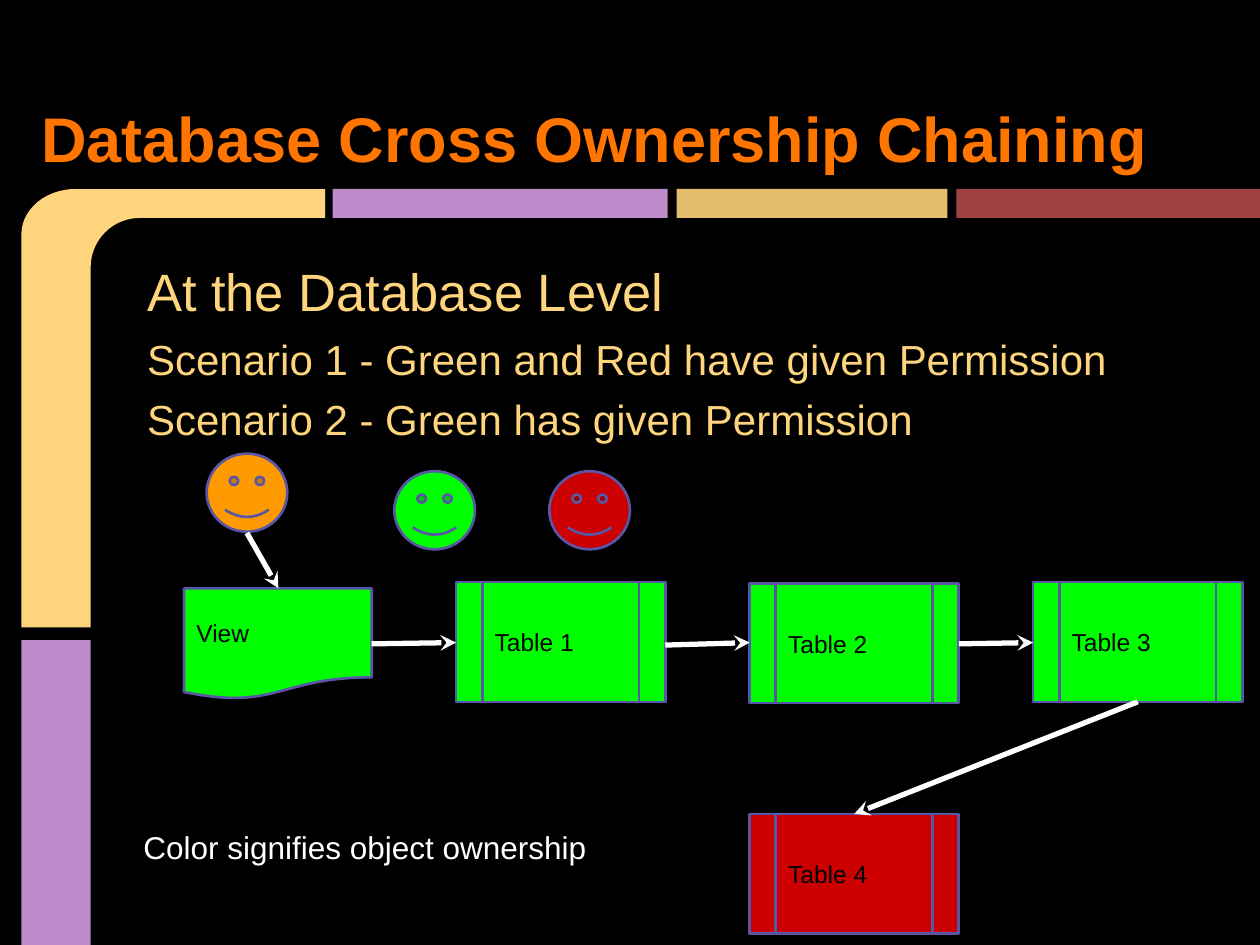
from math import cos, sin, radians

from lxml.etree import SubElement
from pptx import Presentation
from pptx.dml.color import RGBColor
from pptx.enum.shapes import MSO_CONNECTOR as Conn, MSO_SHAPE as Shape
from pptx.enum.text import MSO_ANCHOR as Anchor, PP_ALIGN as Align
from pptx.oxml.ns import qn
from pptx.util import Inches, Pt

GOLD, LILAC, EDGE = "FED47D", "BF8AC9", "5956A7"
ORANGE, GREEN, RED = "FF9900", "00FF00", "CC0000"
BLACK, WHITE = "000000", "FFFFFF"


def rgb(code):
    return RGBColor.from_string(code)


def paint(shape, fill, line=None):
    shape.shadow.inherit = False
    shape.fill.solid()
    shape.fill.fore_color.rgb = rgb(fill)
    if line:
        shape.line.color.rgb = rgb(line)
        shape.line.width = Pt(1.5)
    else:
        shape.line.fill.background()


def add_shape(slide, kind, box, fill, line=None):
    shape = slide.shapes.add_shape(kind, *map(Inches, box))
    paint(shape, fill, line)
    return shape


def write(shape, lines, color, anchor=Anchor.TOP, bold=False, gap=0):
    """Fill the shape with one paragraph for each (text, size) pair."""
    frame = shape.text_frame
    frame.word_wrap = True
    frame.vertical_anchor = anchor
    frame.margin_left = frame.margin_right = Inches(0.1)
    frame.margin_top = frame.margin_bottom = Inches(0.1)
    for i, (text, size) in enumerate(lines):
        para = frame.add_paragraph() if i else frame.paragraphs[0]
        para.alignment = Align.LEFT
        para.space_before = Pt(gap)
        run = para.add_run()
        run.text = text
        font = run.font
        font.name, font.size, font.bold = "Arial", Pt(size), bold
        font.color.rgb = rgb(color)


def add_text(slide, box, lines, color, **style):
    write(slide.shapes.add_textbox(*map(Inches, box)), lines, color, **style)


def add_node(slide, kind, box, fill, label):
    node = add_shape(slide, kind, box, fill, EDGE)
    write(node, [(label, 14)], BLACK, Anchor.MIDDLE)


def add_face(slide, left, top, fill):
    face = add_shape(slide, Shape.SMILEY_FACE, (left, top, 0.64, 0.62), fill, EDGE)
    face.adjustments[0] = 0.047


def add_arrow(slide, start, end):
    ends = map(Inches, (*start, *end))
    arrow = slide.shapes.add_connector(Conn.STRAIGHT, *ends)
    arrow.line.color.rgb = rgb(WHITE)
    arrow.line.width = Pt(3)
    SubElement(arrow.line._get_or_add_ln(), qn("a:tailEnd"), type="stealth")
    SubElement(arrow._element.spPr, qn("a:effectLst"))


def arc(x, y, rx, ry, start, end, steps=24):
    """Points of an elliptical arc, with angles in degrees."""
    turns = [radians(start + (end - start) * i / steps) for i in range(steps + 1)]
    return [(x + rx * cos(t), y - ry * sin(t)) for t in turns]


def add_bend(slide):
    """Gold band that turns the top left corner."""
    outer = arc(0.6, 1.86, 0.43, 0.36, 180, 90)
    inner = arc(1.11, 2.12, 0.39, 0.39, 90, 180)
    points = [(0.17, 4.98), *outer, (2.58, 1.5), (2.58, 1.73), *inner, (0.72, 4.98)]
    first, *rest = [(Inches(x), Inches(y)) for x, y in points]
    build = slide.shapes.build_freeform(*first)
    build.add_line_segments(rest, close=True)
    paint(build.convert_to_shape(), GOLD)


def add_frame(slide):
    add_bend(slide)
    add_shape(slide, Shape.RECTANGLE, (0.17, 5.08, 0.55, 2.42), LILAC)
    for left, width, fill in (
        (2.64, 2.66, LILAC), (5.37, 2.15, "E3BC6D"), (7.59, 2.41, "A14141")
    ):
        add_shape(slide, Shape.RECTANGLE, (left, 1.5, width, 0.23), fill)


def add_chain(slide):
    for left, top, fill in (
        (1.64, 3.6, ORANGE), (3.13, 3.74, GREEN), (4.36, 3.74, RED)
    ):
        add_face(slide, left, top, fill)
    tables = ((3.62, 4.62, GREEN), (5.95, 4.63, GREEN),
              (8.2, 4.62, GREEN), (5.95, 6.46, RED))
    for i, (left, top, fill) in enumerate(tables, 1):
        add_node(slide, Shape.FLOWCHART_PREDEFINED_PROCESS,
                 (left, top, 1.66, 0.95), fill, f"Table {i}")
    add_node(slide, Shape.FLOWCHART_DOCUMENT, (1.46, 4.67, 1.49, 0.88), GREEN, "View")
    for start, end in (
        ((1.96, 4.23), (2.21, 4.67)),
        ((2.95, 5.11), (3.62, 5.1)),
        ((5.28, 5.12), (5.95, 5.1)),
        ((7.61, 5.11), (8.2, 5.1)),
        ((9.03, 5.57), (6.78, 6.46)),
    ):
        add_arrow(slide, start, end)


def main():
    deck = Presentation()
    deck.slide_width, deck.slide_height = Inches(10), Inches(7.5)
    slide = deck.slides.add_slide(deck.slide_layouts[6])
    back = slide.background.fill
    back.solid()
    back.fore_color.rgb = rgb(BLACK)

    add_frame(slide)
    add_text(slide, (0.23, 0.24, 9.54, 1.25),
             [("Database Cross Ownership Chaining", 36)],
             "FF7500", anchor=Anchor.BOTTOM, bold=True)
    add_text(slide, (1.07, 1.96, 8.56, 5.46),
             [("At the Database Level", 30),
              ("Scenario 1 - Green and Red have given Permission", 24),
              ("Scenario 2 - Green has given Permission", 24)],
             GOLD, gap=6)
    add_chain(slide)
    add_text(slide, (1.04, 6.47, 3.94, 0.88),
             [("Color signifies object ownership", 18)], WHITE)
    deck.save("out.pptx")


if __name__ == "__main__":
    main()
